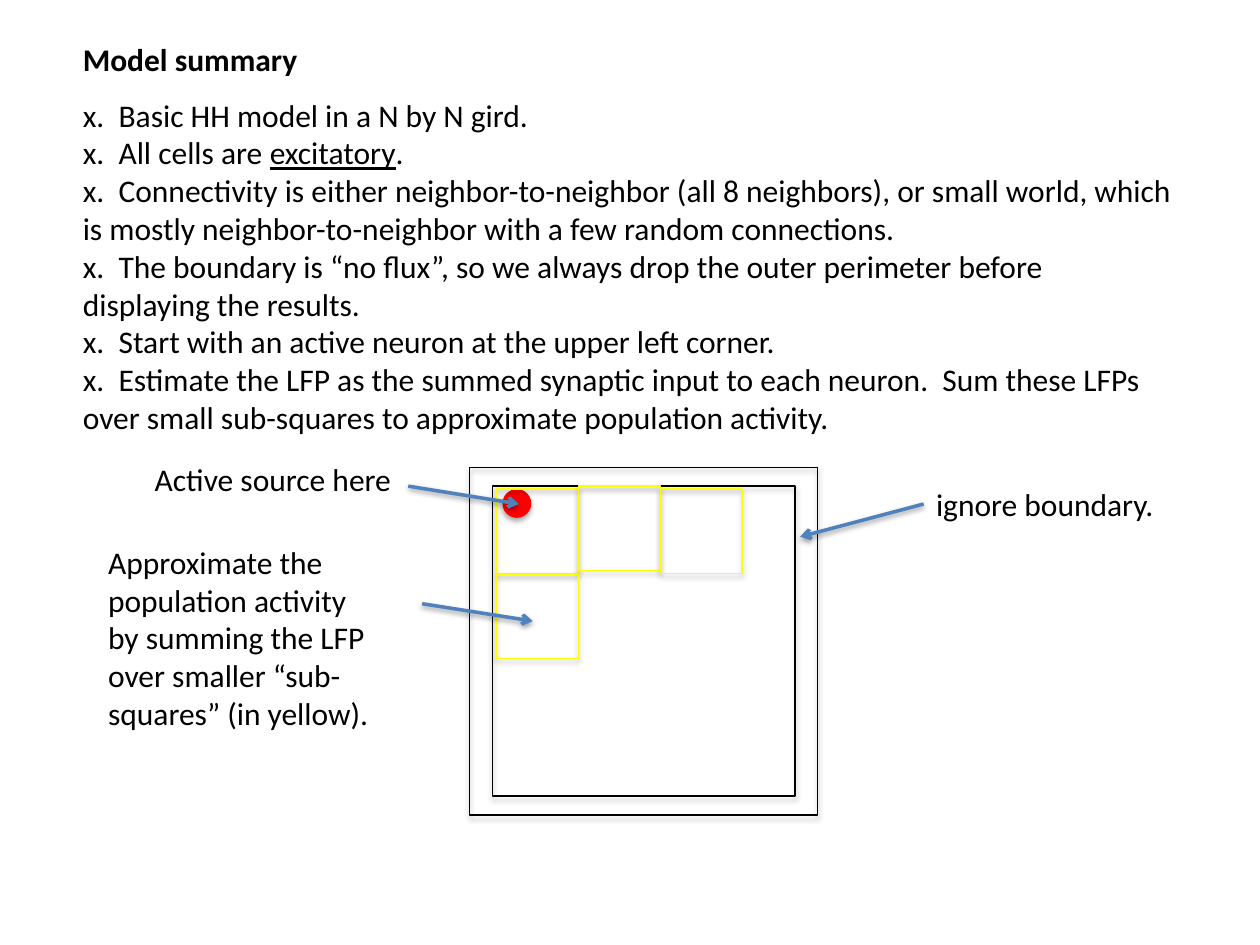
import pptx
import pptx.util
import pptx.dml.color
import pptx.enum.shapes
import pptx.enum.text
import pptx.oxml.ns
import lxml.etree

Cm = pptx.util.Cm
Pt = pptx.util.Pt
SHAPES = pptx.enum.shapes.MSO_SHAPE

BLACK = pptx.dml.color.RGBColor(0x00, 0x00, 0x00)
RED = pptx.dml.color.RGBColor(0xFF, 0x00, 0x00)
YELLOW = pptx.dml.color.RGBColor(0xFF, 0xFF, 0x00)
BLUE = pptx.dml.color.RGBColor(0x4F, 0x81, 0xBD)

SUMMARY = [
    ["x.  Basic HH model in a N by N gird."],
    ["x.  All cells are ", "excitatory", "."],
    ["x.  Connectivity is either neighbor-to-neighbor (all 8 neighbors), or small world, "
     "which is mostly neighbor-to-neighbor with a few random connections."],
    ["x.  The boundary is “no flux”, so we always drop the outer perimeter before "
     "displaying the results."],
    ["x.  Start with an active neuron at the upper left corner."],
    ["x.  Estimate the LFP as the summed synaptic input to each neuron.  Sum these LFPs "
     "over small sub-squares to approximate population activity."],
]

# Label, its box, then arrow start and end relative to the box corner
CALLOUTS = [
    ("Active source here", (2.87, 9.14, 5.36, 1.02), (5.36, 0.66), (7.59, 1.02)),
    ("ignore boundary.", (18.62, 9.65, 6.43, 1.02), (0, 0.51), (-2.49, 1.17)),
    ("Approximate the population activity by summing the LFP over smaller "
     "“sub-squares” (in yellow).", (1.93, 10.82, 5.79, 4.11), (6.58, 1.35), (8.81, 1.70)),
]


def add_child(parent, tag, **attributes):
    return lxml.etree.SubElement(parent, pptx.oxml.ns.qn(tag), attributes)


def add_soft_shadow(effects, distance, alpha):
    shadow = add_child(effects, "a:outerShdw", blurRad="40000", dist=str(distance),
                       dir="5400000", rotWithShape="0")
    color = add_child(shadow, "a:srgbClr", val="000000")
    add_child(color, "a:alpha", val=str(alpha))


def add_figure(page, kind, left, top, width, height, fill=None, line=None):
    figure = page.shapes.add_shape(kind, Cm(left), Cm(top), Cm(width), Cm(height))
    if fill is None:
        figure.fill.background()
    else:
        figure.fill.solid()
        figure.fill.fore_color.rgb = fill
    if line is None:
        figure.line.fill.background()
    else:
        figure.line.color.rgb = line
        figure.line.width = Pt(0.75)
    figure.shadow.inherit = False
    effects = figure.element.spPr.find(pptx.oxml.ns.qn("a:effectLst"))
    add_soft_shadow(effects, 23000, 35000)


def add_text_frame(page, box):
    frame = page.shapes.add_textbox(*map(Cm, box)).text_frame
    frame.word_wrap = True
    frame.auto_size = pptx.enum.text.MSO_AUTO_SIZE.SHAPE_TO_FIT_TEXT
    return frame


def add_span(para, text):
    span = para.add_run()
    span.text = text
    span.font.name = "Calibri"
    span.font.size = Pt(18)
    span.font.color.rgb = BLACK
    return span


def add_arrow(page, start, end):
    arrow = page.shapes.add_connector(pptx.enum.shapes.MSO_CONNECTOR.STRAIGHT,
                                      *map(Cm, start + end))
    arrow.line.color.rgb = BLUE
    arrow.line.width = Pt(2)
    properties = arrow.element.spPr
    add_child(properties.find(pptx.oxml.ns.qn("a:ln")), "a:tailEnd", type="arrow")
    add_soft_shadow(add_child(properties, "a:effectLst"), 20000, 38000)


def add_summary(page, box):
    frame = add_text_frame(page, box)
    title = frame.paragraphs[0]
    title.space_after = Pt(10)
    add_span(title, "Model summary").font.bold = True
    for texts in SUMMARY:
        para = frame.add_paragraph()
        for text in texts:
            span = add_span(para, text)
            if text == "excitatory":
                span.font.underline = True


def add_grid_diagram(page, left, top, size):
    # Active source
    add_figure(page, SHAPES.OVAL, left + 0.66, top + 0.44, 0.58, 0.58, fill=RED)
    # Outer perimeter and the area inside it
    add_figure(page, SHAPES.RECTANGLE, left, top, size, size, line=BLACK)
    add_figure(page, SHAPES.RECTANGLE, left + 0.46, top + 0.38, 6.1, 6.25, line=BLACK)
    # Sub-squares; the middle one sits slightly higher
    for column, row, lift in [(0, 0, 0), (1, 0, 0.06), (2, 0, 0), (0, 1, 0)]:
        add_figure(page, SHAPES.RECTANGLE, left + 0.54 + 1.65 * column,
                   top + 0.44 + 1.72 * row - lift, 1.65, 1.7, line=YELLOW)


def add_callout(page, text, box, start, end):
    left, top = box[:2]
    frame = add_text_frame(page, box)
    add_span(frame.paragraphs[0], text)
    add_arrow(page, (left + start[0], top + start[1]), (left + end[0], top + end[1]))


def main():
    deck = pptx.Presentation()
    deck.slide_width, deck.slide_height = Cm(25.4), Cm(19.05)
    page = deck.slides.add_slide(deck.slide_layouts[6])
    add_summary(page, (1.42, 0.69, 22.56, 8.28))
    add_grid_diagram(page, 9.47, 9.42, 7.01)
    for callout in CALLOUTS:
        add_callout(page, *callout)
    deck.save("out.pptx")


if __name__ == "__main__":
    main()
